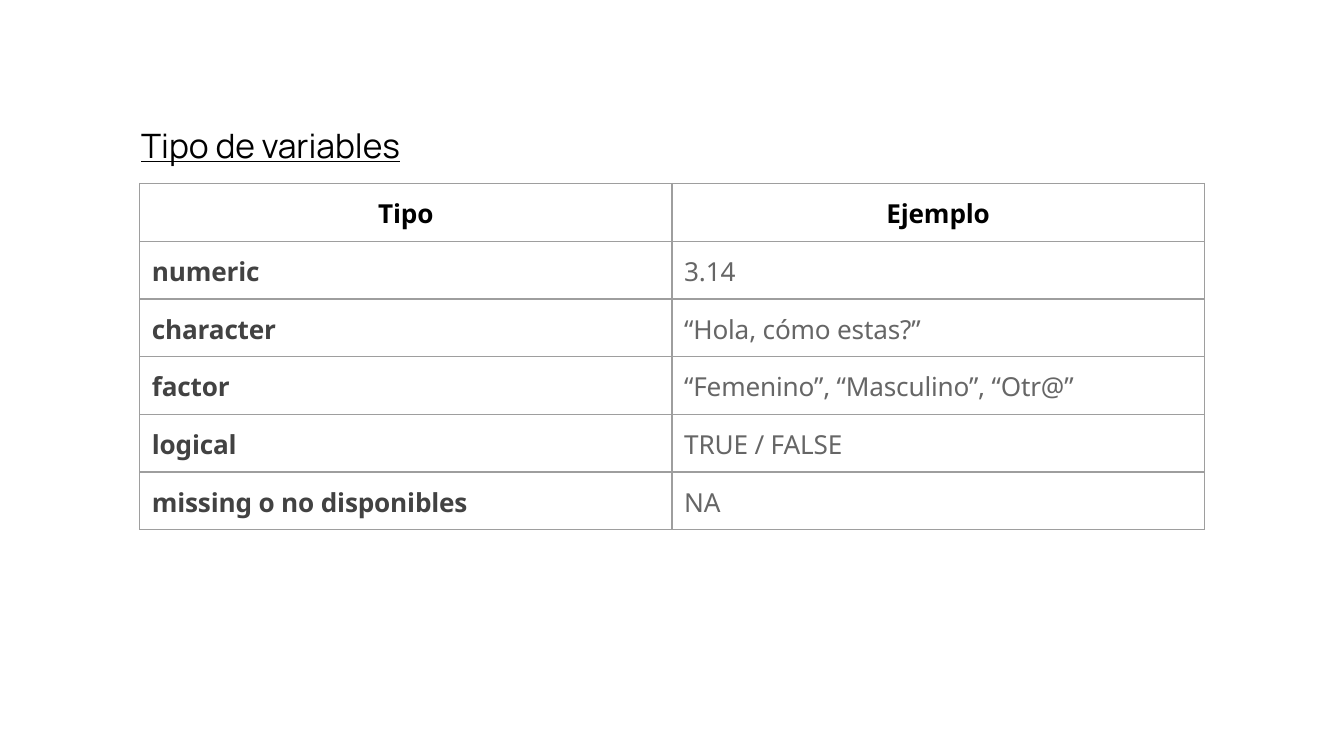
from lxml import etree
from pptx import Presentation
from pptx.dml.color import RGBColor
from pptx.enum.text import MSO_ANCHOR, PP_ALIGN
from pptx.oxml.ns import qn
from pptx.util import Cm, Pt

LEFT, CENTER = PP_ALIGN.LEFT, PP_ALIGN.CENTER
TOP = MSO_ANCHOR.TOP
COLORS = {"black": "000000", "type": "424242", "example": "666666", "border": "9E9E9E"}
BORDER_WIDTH = Pt(0.75)
HEADINGS = ("Tipo", "Ejemplo")
VARIABLE_TYPES = (
    ("numeric", "3.14"),
    ("character", "“Hola, cómo estas?”"),
    ("factor", "“Femenino”, “Masculino”, “Otr@”"),
    ("logical", "TRUE / FALSE"),
    ("missing o no disponibles", "NA"),
)
TITLE_FORMAT = {"name": "Manrope", "size": Pt(18), "underline": True}
HEADING_FORMAT = {"name": "Noto Sans", "size": Pt(14), "bold": True}
EXAMPLE_FORMAT = {**HEADING_FORMAT, "bold": False}


def set_attributes(target, values):
    """Set each named value on the target."""
    for name, value in values.items():
        setattr(target, name, value)


def write(frame, text, color, font_format, align=LEFT, spacing=0):
    """Write one formatted line into a text frame."""
    line = frame.paragraphs[0]
    line.alignment = align
    words = line.add_run()
    words.text = text
    set_attributes(words.font, font_format)
    words.font.color.rgb = RGBColor.from_string(COLORS[color])
    if spacing:
        words.font._element.set("spc", str(spacing))


def add_borders(cell):
    """Draw a thin line on all four sides of a cell."""
    properties = cell._tc.get_or_add_tcPr()
    for side in ("L", "R", "T", "B"):
        line = etree.SubElement(properties, qn(f"a:ln{side}"), w=str(BORDER_WIDTH))
        fill = etree.SubElement(line, qn("a:solidFill"))
        etree.SubElement(fill, qn("a:srgbClr"), val=COLORS["border"])


def add_title(slide, left, top, width, height):
    """Place the underlined title in its box."""
    frame = slide.shapes.add_textbox(left, top, width, height).text_frame
    set_attributes(frame, {
        "word_wrap": True, "vertical_anchor": TOP,
        "margin_left": Cm(0.03), "margin_top": Cm(0.03),
        "margin_right": 0, "margin_bottom": 0,
    })
    write(frame, "Tipo de variables", "black", TITLE_FORMAT)


def add_types_table(slide, left, top, width, height):
    """Place the table of variable types and examples in its box."""
    rows = (HEADINGS, *VARIABLE_TYPES)
    table = slide.shapes.add_table(
        len(rows), len(HEADINGS), left, top, width, height).table
    set_attributes(table, {"first_row": False, "horz_banding": False})
    for row, texts in enumerate(rows):
        for column, text in enumerate(texts):
            cell = table.cell(row, column)
            add_borders(cell)
            cell.fill.background()
            set_attributes(cell, {
                "margin_left": Cm(0.23) if row else 0, "margin_top": Cm(0.23),
                "margin_right": 0, "margin_bottom": 0, "vertical_anchor": TOP,
            })
            if row == 0:
                write(cell.text_frame, text, "black", HEADING_FORMAT, CENTER, -10)
            elif column == 0:
                write(cell.text_frame, text, "type", HEADING_FORMAT, spacing=-10)
            else:
                write(cell.text_frame, text, "example", EXAMPLE_FORMAT, spacing=-10)


def main():
    """Build and save the slide."""
    deck = Presentation()
    set_attributes(deck, {"slide_width": Cm(25.4), "slide_height": Cm(14.29)})
    slide = deck.slides.add_slide(deck.slide_layouts[6])
    left = Cm(2.64)
    add_title(slide, left, Cm(2.34), Cm(7.04), Cm(0.81))
    add_types_table(slide, left, Cm(3.47), Cm(20.12), Cm(6.54))
    deck.save("out.pptx")


if __name__ == "__main__":
    main()
